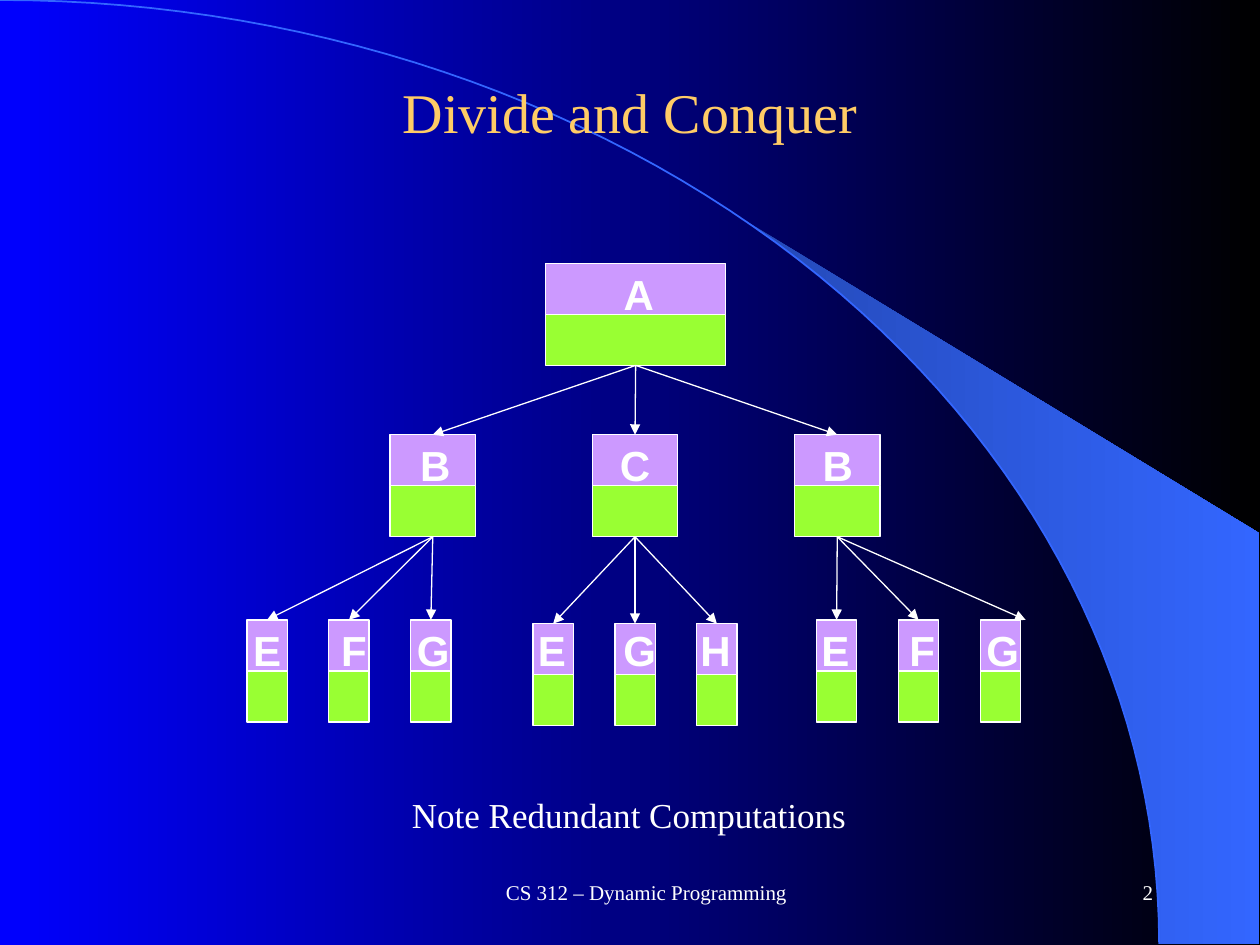
from math import asin, cos, pi, sin

from lxml import etree
from pptx import Presentation
from pptx.dml.color import RGBColor
from pptx.enum.shapes import MSO_CONNECTOR, MSO_SHAPE
from pptx.enum.text import MSO_ANCHOR, MSO_AUTO_SIZE, PP_ALIGN
from pptx.oxml.ns import qn
from pptx.util import Inches, Pt

RECT, LINE = MSO_SHAPE.RECTANGLE, MSO_CONNECTOR.STRAIGHT
LEFT, MID, RIGHT = PP_ALIGN.LEFT, PP_ALIGN.CENTER, PP_ALIGN.RIGHT
TOP, CENTER = MSO_ANCHOR.TOP, MSO_ANCHOR.MIDDLE
GROW = MSO_AUTO_SIZE.SHAPE_TO_FIT_TEXT

COLS, ROWS = 20, 15  # the slide's grid of half-inch cells
HEX = {
    "white": "FFFFFF", "gold": "FFCC66", "violet": "CC99FF", "lime": "99FF33",
    "blue": "0000FF", "black": "000000", "arc": "3366FF", "deep": "2449B6",
}
SERIF = {"name": "Times New Roman", "bold": False}
SANS = {"name": "Arial", "bold": True, "size": Pt(24)}

HALF = 0.81  # height of each half of a node
LEVEL = (0, 2.72, 5.66)  # top of each tree level
WIDE = (2.86, 1.36, 0.64)  # node width on each level
# parent, its label's shift, first leaf's centre, drop of the leaves, leaves
TREE = (
    ("B", 0.04, 0.32, 0, (("E", 0), ("F", 0.08), ("G", 0.02))),
    ("C", 0, 4.86, 0.06, (("E", -0.02), ("G", 0.06), ("H", -0.02))),
    ("B", 0.01, 9.36, 0, (("E", -0.02), ("F", 0.06), ("G", 0.02))),
)


def cell(n):
    return Inches(n / 2)


def rgb(name):
    return RGBColor.from_string(HEX[name])


def blend(fill, *names):
    """Fill from left to right between two colours."""
    fill.gradient()
    fill.gradient_angle = 0
    for stop, name in zip(fill.gradient_stops, names):
        stop.color.rgb = rgb(name)


def stroke(line, name, width):
    line.color.rgb = rgb(name)
    line.width = Pt(width)


def write(shape, text, font, color="white", align=MID, anchor=CENTER, wrap=True):
    frame = shape.text_frame
    frame.text = text
    frame.word_wrap = wrap
    frame.vertical_anchor = anchor
    frame.auto_size = MSO_AUTO_SIZE.NONE if wrap else GROW
    para = frame.paragraphs[0]
    para.alignment = align
    for key, value in font.items():
        setattr(para.font, key, value)
    para.font.color.rgb = rgb(color)


def note(slide, box, text, font, **style):
    write(slide.shapes.add_textbox(*map(cell, box)), text, font, **style)


def outline(slide, points, close):
    first, *rest = [(cell(x), cell(y)) for x, y in points]
    pen = slide.shapes.build_freeform(*first, scale=1)
    pen.add_line_segments(rest, close=close)
    shape = pen.convert_to_shape()
    shape.shadow.inherit = False
    return shape


def sweep(slide, box):
    """Quarter ellipse across the slide, with a wedge on its outer side."""
    x, y, w, h = box

    def arc(start, steps=60):
        turns = [start + (pi / 2 - start) * i / steps for i in range(steps + 1)]
        return [(x + w * sin(t), y + h * (1 - cos(t))) for t in turns]

    edge = x + w + 1.58
    wedge = outline(slide, arc(asin(0.64)) + [(edge, y + h), (edge, 8.46)], True)
    blend(wedge.fill, "deep", "arc")
    wedge.line.fill.background()
    curve = outline(slide, arc(0), False)
    curve.fill.background()
    stroke(curve.line, "arc", 1)


def heading(slide, box, text):
    title = slide.shapes.title
    title.left, title.top, title.width, title.height = map(cell, box)
    write(title, text, SERIF | {"size": Pt(32)}, color="gold")
    slide.shapes.element.append(title.element)  # in front of the sweep


def node(slide, mid, top, wide):
    halves = []
    for i, name in enumerate(("violet", "lime")):
        box = (mid - wide / 2, top + i * HALF, wide, HALF)
        half = slide.shapes.add_shape(RECT, *map(cell, box))
        half.shadow.inherit = False
        half.fill.solid()
        half.fill.fore_color.rgb = rgb(name)
        stroke(half.line, "white", 0.75)
        halves.append(half)
    return halves


def arrow(slide, start, end, spot=None):
    """Join two nodes, or lead from a node to a free spot."""
    link = slide.shapes.add_connector(LINE, 0, 0, *map(cell, spot or (0, 0)))
    link.begin_connect(start[1], 2)
    if not spot:
        link.end_connect(end[0], 0)
    stroke(link.line, "white", 0.75)
    etree.SubElement(link.line._get_or_add_ln(), qn("a:tailEnd"), type="triangle")
    etree.SubElement(link.element.spPr, qn("a:effectLst"))


def tree(slide, box):
    x, y, w, h = box
    tops = [y + level for level in LEVEL]
    hub = x + w / 2 + 0.04
    root = node(slide, hub, tops[0], WIDE[0])
    tags = [("A", hub + 0.05, tops[0])]
    for i, (name, shift, first, drop, leaves) in enumerate(TREE):
        mid = x + 2.95 + 3.21 * i
        parent = node(slide, mid, tops[1], WIDE[1])
        arrow(slide, root, parent)
        tags.append((name, mid + shift, tops[1]))
        for j, (leaf, nudge) in enumerate(leaves):
            spot = x + first + 1.3 * j
            child = node(slide, spot, tops[2] + drop, WIDE[2])
            last = i == j == 2
            arrow(slide, parent, child, (x + w + 0.1, tops[2]) if last else None)
            tags.append((leaf, spot + nudge, tops[2]))
    for name, mid, top in tags:
        note(slide, (mid - 0.44, top - 0.02, 0.88, 1), name, SANS, wrap=False)


def footer(slide, box):
    x, y, w, h = box
    font = SERIF | {"size": Pt(12)}
    note(slide, (x, y, 7.84, h), "CS 312 – Dynamic Programming", font)
    note(slide, (x + w - 4.16, y, 4.16, h), "2", font, align=RIGHT)


def main():
    deck = Presentation()
    deck.slide_width, deck.slide_height = cell(COLS), cell(ROWS)
    slide = deck.slides.add_slide(deck.slide_layouts[5])
    blend(slide.background.fill, "blue", "black")
    sweep(slide, (0, 0, 18.4, 14.98))
    heading(slide, (1.5, 0.84, 17, 1.84), "Divide and Conquer")
    footer(slide, (6.34, 13.66, 12.16, 1))
    tree(slide, (3.92, 4.18, 12.26, 7.32))
    note(slide, (6.34, 12.5, 7.38, 0.88), "Note Redundant Computations",
         SERIF | {"size": Pt(20)}, align=LEFT, anchor=TOP, wrap=False)
    deck.save("out.pptx")


if __name__ == "__main__":
    main()
